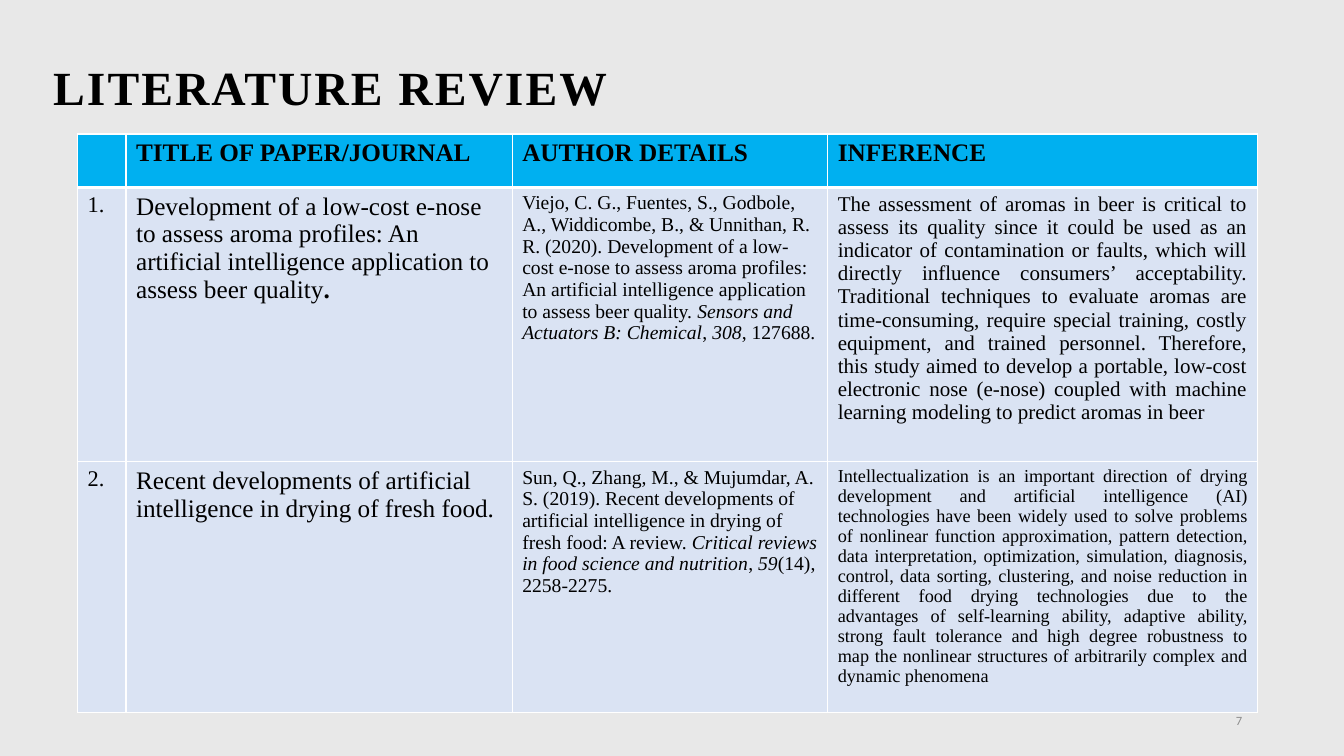
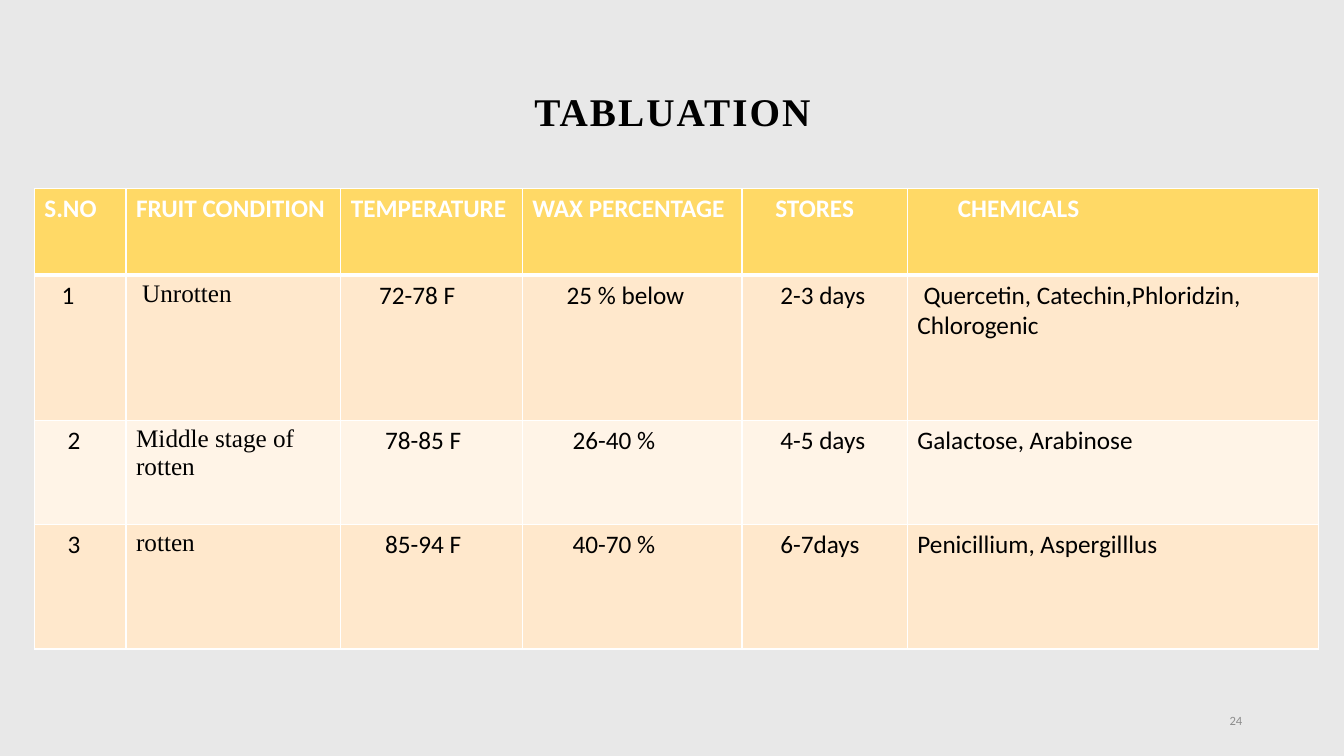
from dataclasses import dataclass
from typing import Any

from lxml.etree import SubElement
from pptx import Presentation
from pptx.dml.color import RGBColor
from pptx.enum.text import MSO_ANCHOR, PP_ALIGN
from pptx.oxml.ns import qn
from pptx.util import Inches, Pt

SERIF = "Times New Roman"
SANS = "Calibri"
BACKGROUND = "E8E8E8"
BLACK = "000000"
WHITE = "FFFFFF"
GREY = "8C8C8C"


@dataclass
class Cell:
    paragraphs: Any
    size: float = 18
    font: str = SANS
    indent: float = 0
    align: Any = PP_ALIGN.LEFT


def paper(number, title, citation, inference, inference_size):
    return [
        Cell([number], 16, SERIF),
        Cell([title], 18, SERIF),
        Cell([citation], 14, SERIF),
        Cell([inference], inference_size, SERIF, align=PP_ALIGN.JUSTIFY),
    ]


def sample(texts, indents):
    fonts = [SANS, SERIF, SANS, SANS, SANS, SANS]
    return [Cell(text.split("\n"), 18, font, indent)
            for text, font, indent in zip(texts, fonts, indents)]


SLIDES = [
    {
        "title": "LITERATURE REVIEW",
        "title_box": (0.43, 0.17, 11.5, 1.45),
        "title_size": 34,
        "title_align": PP_ALIGN.LEFT,
        "number": "7",
        "table_corner": (0.77, 1.33),
        "columns": [0.48, 3.83, 3.13, 4.26],
        "heights": [0.53, 2.72, 2.42],
        "header_fill": "00B0F0",
        "header_color": BLACK,
        "body_fills": ["DAE3F3"],
        "rows": [
            [Cell([text], font=SERIF) for text in
             ("", "TITLE OF PAPER/JOURNAL", "AUTHOR DETAILS", "INFERENCE")],
            paper(
                "1.",
                [("Development of a low-cost e-nose to assess aroma profiles: An artificial "
                  "intelligence application to assess beer quality", ""), (".", "bold")],
                [("Viejo, C. G., Fuentes, S., Godbole, A., Widdicombe, B., & Unnithan, R. R. "
                  "(2020). Development of a low-cost e-nose to assess aroma profiles: An "
                  "artificial intelligence application to assess beer quality. ", ""),
                 ("Sensors and Actuators B: Chemical", "italic"), (", ", ""),
                 ("308", "italic"), (", 127688.", "")],
                "The assessment of aromas in beer is critical to assess its quality since it "
                "could be used as an indicator of contamination or faults, which will directly "
                "influence consumers’ acceptability. Traditional techniques to evaluate aromas "
                "are time-consuming, require special training, costly equipment, and trained "
                "personnel. Therefore, this study aimed to develop a portable, low-cost "
                "electronic nose (e-nose) coupled with machine learning modeling to predict "
                "aromas in beer",
                15,
            ),
            paper(
                "2.",
                "Recent developments of artificial intelligence in drying of fresh food.",
                [("Sun, Q., Zhang, M., & Mujumdar, A. S. (2019). Recent developments of "
                  "artificial intelligence in drying of fresh food: A review. ", ""),
                 ("Critical reviews in food science and nutrition", "italic"), (", ", ""),
                 ("59", "italic"), ("(14), 2258-2275.", "")],
                "Intellectualization is an important direction of drying development and "
                "artificial intelligence (AI) technologies have been widely used to solve "
                "problems of nonlinear function approximation, pattern detection, data "
                "interpretation, optimization, simulation, diagnosis, control, data sorting, "
                "clustering, and noise reduction in different food drying technologies due to "
                "the advantages of self-learning ability, adaptive ability, strong fault "
                "tolerance and high degree robustness to map the nonlinear structures of "
                "arbitrarily complex and dynamic phenomena",
                13,
            ),
        ],
    },
    {
        "title": "TABLUATION",
        "title_box": (0.92, 0.4, 11.5, 1.45),
        "title_size": 28,
        "title_align": PP_ALIGN.CENTER,
        "number": "24",
        "table_corner": (0.34, 1.87),
        "columns": [0.91, 2.13, 1.8, 2.18, 1.64, 4.08],
        "heights": [0.86, 1.44, 1.03, 1.24],
        "header_fill": "FFD966",
        "header_color": WHITE,
        "body_fills": ["FFE8CC", "FFF4E7"],
        "rows": [
            [Cell([text], indent=indent) for text, indent in
             (("S.NO", 0), ("FRUIT CONDITION", 0), ("TEMPERATURE", 0),
              ("WAX PERCENTAGE", 0), ("STORES", 0.23), ("CHEMICALS", 0.4))],
            sample(["1", "Unrotten", "72-78 F", "25 % below", "2-3 days",
                    "Quercetin, Catechin,Phloridzin,\nChlorogenic"],
                   [0.17, 0.06, 0.28, 0.34, 0.28, 0.06]),
            sample(["2", "Middle stage of rotten", "78-85 F", "26-40 %", "4-5 days",
                    "Galactose, Arabinose"],
                   [0.23, 0, 0.34, 0.4, 0.28, 0]),
            sample(["3", "rotten", "85-94 F", "40-70 %", "6-7days",
                    "Penicillium, Aspergilllus"],
                   [0.23, 0, 0.34, 0.4, 0.28, 0]),
        ],
    },
]


def color(value):
    return RGBColor.from_string(value)


def style_font(font, name, size, value, bold=False, italic=False):
    font.name = name
    font.size = Pt(size)
    font.color.rgb = color(value)
    font.bold = bold
    font.italic = italic


def add_text(slide, box, text, align):
    shape = slide.shapes.add_textbox(*map(Inches, box))
    frame = shape.text_frame
    frame.word_wrap = True
    frame.vertical_anchor = MSO_ANCHOR.MIDDLE
    frame.text = text
    paragraph = frame.paragraphs[0]
    paragraph.alignment = align
    return paragraph


def add_title(slide, content):
    paragraph = add_text(slide, content["title_box"], content["title"], content["title_align"])
    paragraph.line_spacing = 0.9
    run = paragraph.runs[0]
    style_font(run.font, SERIF, content["title_size"], BLACK, bold=True)
    run._r.get_or_add_rPr().set("spc", "150")


def add_page_number(slide, number):
    paragraph = add_text(slide, (9.42, 6.95, 3, 0.4), number, PP_ALIGN.RIGHT)
    style_font(paragraph.runs[0].font, SANS, 9, GREY)


def add_borders(cell, top, bottom):
    properties = cell._tc.get_or_add_tcPr()
    for side, width in (("lnL", 1), ("lnR", 1), ("lnT", top), ("lnB", bottom)):
        line = SubElement(properties, qn(f"a:{side}"), w=str(Pt(width)))
        fill = SubElement(line, qn("a:solidFill"))
        SubElement(fill, qn("a:srgbClr"), val=WHITE)


def fill_text(frame, content, value, bold):
    for index, runs in enumerate(content.paragraphs):
        paragraph = frame.add_paragraph() if index else frame.paragraphs[0]
        paragraph.alignment = content.align
        if content.indent and index == 0:
            paragraph._p.get_or_add_pPr().set("marL", str(Inches(content.indent)))
        for text, style in ([(runs, "")] if isinstance(runs, str) else runs):
            run = paragraph.add_run()
            run.text = text
            style_font(run.font, content.font, content.size, value,
                       bold or style == "bold", style == "italic")


def add_grid(slide, content):
    rows, columns, heights = content["rows"], content["columns"], content["heights"]
    left, top = content["table_corner"]
    table = slide.shapes.add_table(
        len(rows), len(columns), Inches(left), Inches(top),
        Inches(sum(columns)), Inches(sum(heights))).table
    table.first_row = table.horz_banding = False
    for column, width in zip(table.columns, columns):
        column.width = Inches(width)
    for row, height in zip(table.rows, heights):
        row.height = Inches(height)
    fills = content["body_fills"]
    for row_index, row in enumerate(rows):
        header = row_index == 0
        fill = content["header_fill"] if header else fills[(row_index - 1) % len(fills)]
        value = content["header_color"] if header else BLACK
        for column_index, cell_content in enumerate(row):
            cell = table.cell(row_index, column_index)
            add_borders(cell, 3 if row_index == 1 else 1, 3 if header else 1)
            cell.fill.solid()
            cell.fill.fore_color.rgb = color(fill)
            fill_text(cell.text_frame, cell_content, value, header)


def main():
    presentation = Presentation()
    presentation.slide_width = Inches(13.33)
    presentation.slide_height = Inches(7.5)
    for content in SLIDES:
        slide = presentation.slides.add_slide(presentation.slide_layouts[6])
        slide.background.fill.solid()
        slide.background.fill.fore_color.rgb = color(BACKGROUND)
        add_title(slide, content)
        add_grid(slide, content)
        add_page_number(slide, content["number"])
    presentation.save("out.pptx")


if __name__ == "__main__":
    main()
